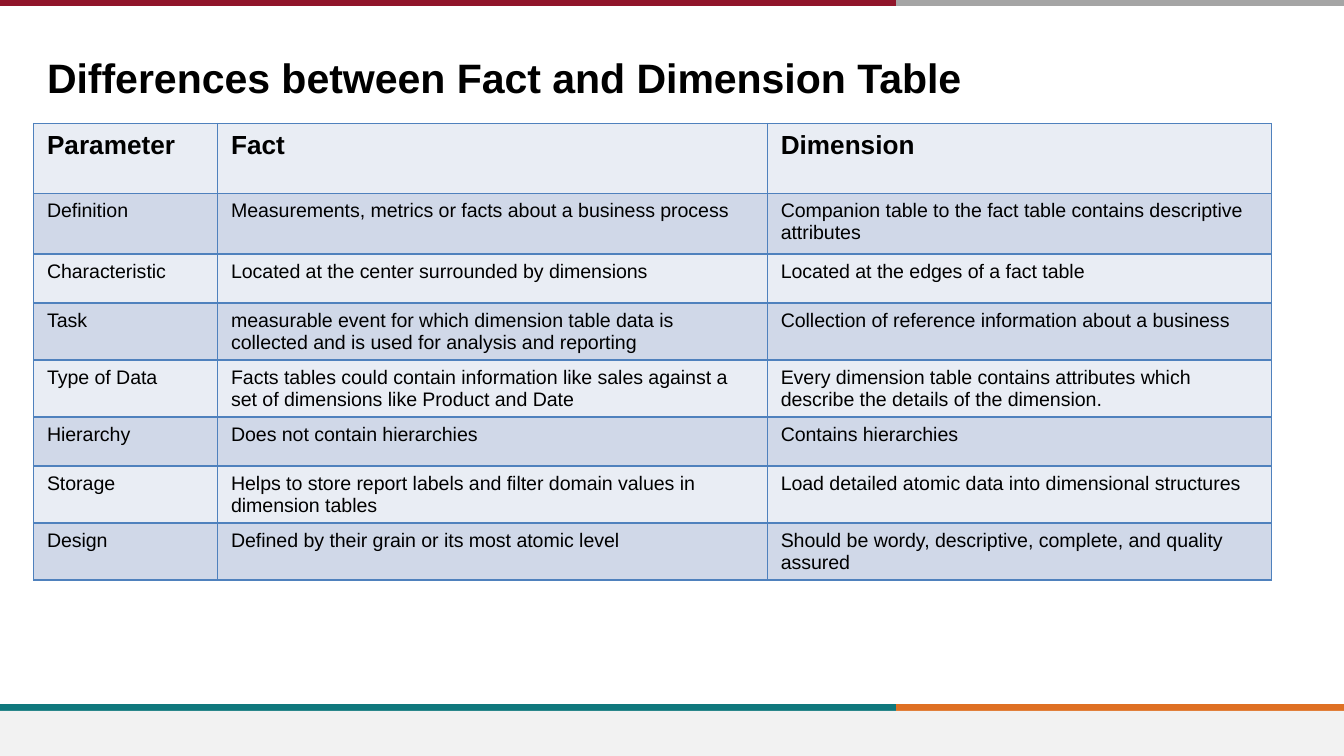
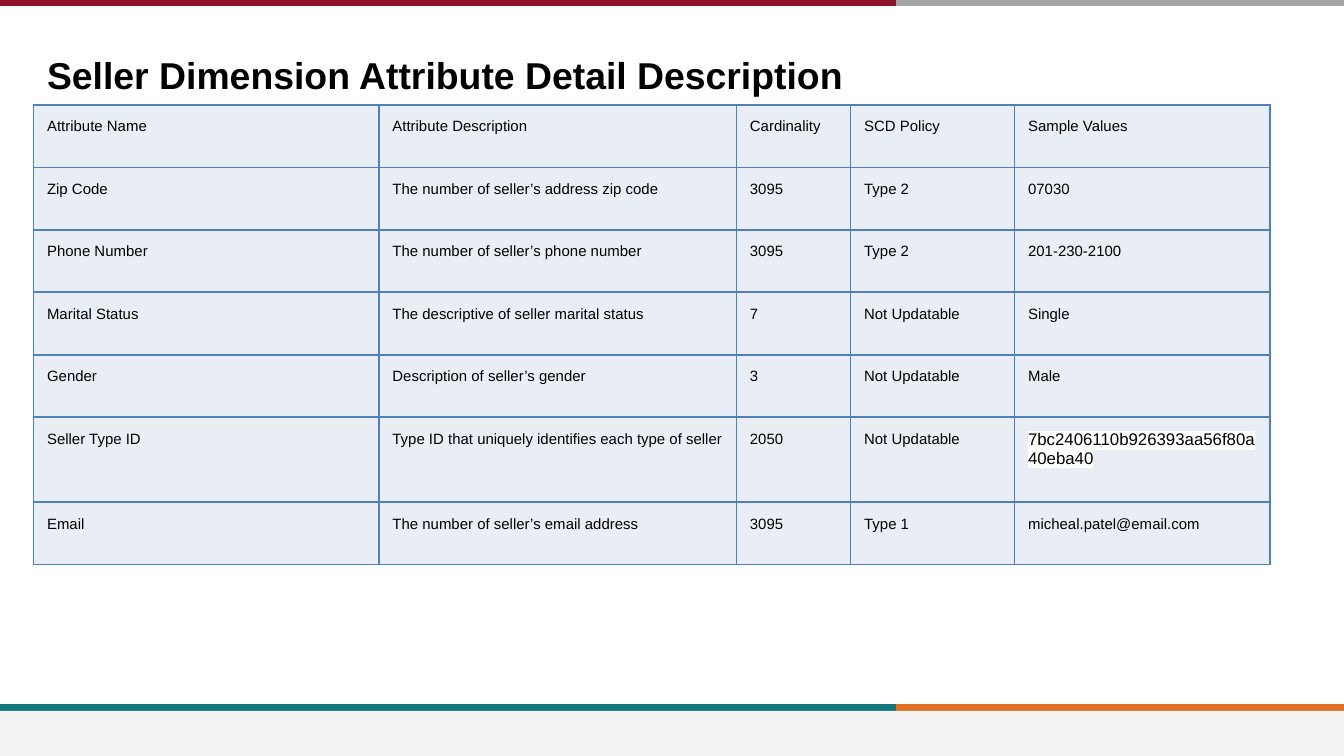
from dataclasses import dataclass

from lxml.etree import SubElement
from pptx import Presentation
from pptx.dml.color import RGBColor as Rgb
from pptx.enum.shapes import MSO_CONNECTOR as Conn, MSO_SHAPE as Shape
from pptx.enum.text import MSO_ANCHOR as Anchor, PP_ALIGN as Align
from pptx.oxml.ns import qn
from pptx.slide import Slide
from pptx.table import _Cell as Cell
from pptx.text.text import _Run as Run
from pptx.util import Inches, Pt

FONT = "Arial"
COLORS = {
    "text": "000000",
    "white": "FFFFFF",
    "red": "90152A",
    "gray": "A5A5A5",
    "teal": "0F787D",
    "orange": "DF7023",
    "footer": "F2F2F2",
    "border": "4F81BD",
    "light": "E9EDF4",
    "dark": "D0D8E8",
}
WIDTH = 10
HEIGHT = WIDTH * 9 / 16
SPLIT = 6.67
LEFT = 0.25


@dataclass(frozen=True)
class Band:
    start: float
    end: float
    y: float
    color: str


@dataclass(frozen=True)
class Grid:
    title: str
    title_size: float
    top: float
    cols: list[float]
    heights: list[float]
    rows: list[list[str]]
    size: float
    pad: float
    fills: tuple[str, ...]
    head_size: float
    head_bold: bool = False
    marked: str = ""
    mark_size: float = 9


BANDS = [
    Band(SPLIT, WIDTH, 5.27, "orange"),
    Band(0, SPLIT, 5.27, "teal"),
    Band(SPLIT, WIDTH, 0.02, "gray"),
    Band(0, SPLIT, 0.02, "red"),
]

SELLER_ID = "7bc2406110b926393aa56f80a40eba40"

GRIDS = [
    Grid(
        title="Differences between Fact and Dimension Table",
        title_size=22,
        top=0.92,
        cols=[1.37, 4.09, 3.75],
        heights=[0.52, 0.45] + [2.19 / 6] * 6,
        rows=[
            ["Parameter", "Fact", "Dimension"],
            ["Definition",
             "Measurements, metrics or facts about a business process",
             "Companion table to the fact table contains descriptive attributes"],
            ["Characteristic",
             "Located at the center surrounded by dimensions",
             "Located at the edges of a fact table"],
            ["Task",
             "measurable event for which dimension table data is collected "
             "and is used for analysis and reporting",
             "Collection of reference information about a business"],
            ["Type of Data",
             "Facts tables could contain information like sales against a set "
             "of dimensions like Product and Date",
             "Every dimension table contains attributes which describe the "
             "details of the dimension."],
            ["Hierarchy", "Does not contain hierarchies", "Contains hierarchies"],
            ["Storage",
             "Helps to store report labels and filter domain values in "
             "dimension tables",
             "Load detailed atomic data into dimensional structures"],
            ["Design",
             "Defined by their grain or its most atomic level",
             "Should be wordy, descriptive, complete, and quality assured"],
        ],
        size=10.5,
        pad=0.05,
        fills=("light", "dark"),
        head_size=14,
        head_bold=True,
    ),
    Grid(
        title="Seller Dimension Attribute Detail Description",
        title_size=20,
        top=0.78,
        cols=[2.57, 2.66, 0.85, 1.22, 1.9],
        heights=[2.79 / 6] * 5 + [0.63, 2.79 / 6],
        rows=[
            ["Attribute Name", "Attribute Description", "Cardinality",
             "SCD Policy", "Sample Values"],
            ["Zip Code", "The number of seller’s address zip code", "3095",
             "Type 2", "07030"],
            ["Phone Number", "The number of seller’s phone number", "3095",
             "Type 2", "201-230-2100"],
            ["Marital Status", "The descriptive of seller marital status", "7",
             "Not Updatable", "Single"],
            ["Gender", "Description of seller’s gender", "3",
             "Not Updatable", "Male"],
            ["Seller Type ID",
             "Type ID that uniquely identifies each type of seller", "2050",
             "Not Updatable", SELLER_ID],
            ["Email", "The number of seller’s email address", "3095",
             "Type 1", "micheal.patel@email.com"],
        ],
        size=8,
        pad=0.1,
        fills=("light",),
        head_size=8,
        marked=SELLER_ID,
    ),
]


def rgb(name: str) -> Rgb:
    return Rgb.from_string(COLORS[name])


def style(run: Run, size: float, bold: bool) -> None:
    font = run.font
    font.name, font.size, font.bold = FONT, Pt(size), bold
    font.color.rgb = rgb("text")


def mark(run: Run, color: str) -> None:
    """Highlight a run; the schema wants the highlight right after the fill."""
    props = run.font._element
    light = SubElement(props, qn("a:highlight"))
    SubElement(light, qn("a:srgbClr"), val=COLORS[color])
    props.find(qn("a:solidFill")).addnext(light)


def edge(cell: Cell) -> None:
    """Give a cell its four borders; call before the fill is set."""
    props = cell._tc.get_or_add_tcPr()
    for side in "LRTB":
        line = SubElement(props, qn(f"a:ln{side}"), w=str(Pt(1)))
        fill = SubElement(line, qn("a:solidFill"))
        SubElement(fill, qn("a:srgbClr"), val=COLORS["border"])


def draw_bands(slide: Slide) -> None:
    for band in BANDS:
        y = Inches(band.y)
        line = slide.shapes.add_connector(
            Conn.STRAIGHT, Inches(band.start), y, Inches(band.end), y)
        line.line.color.rgb = rgb(band.color)
        line.line.width = Pt(4)
        SubElement(line._element.spPr, qn("a:effectLst"))
    foot = slide.shapes.add_shape(
        Shape.RECTANGLE, 0, Inches(5.29), Inches(WIDTH), Inches(HEIGHT - 5.29))
    foot.shadow.inherit = False
    foot.fill.solid()
    foot.fill.fore_color.rgb = rgb("footer")
    foot.line.fill.background()


def draw_title(slide: Slide, text: str, size: float) -> None:
    title = slide.shapes.title
    title.left, title.top = Inches(LEFT), Inches(0.34)
    title.width, title.height = Inches(7.99), Inches(0.44)
    frame = title.text_frame
    frame.text = text
    frame.word_wrap = True
    frame.vertical_anchor = Anchor.TOP
    frame.margin_left = frame.margin_right = Inches(0.1)
    frame.margin_top = frame.margin_bottom = Inches(0.05)
    para = frame.paragraphs[0]
    para.alignment = Align.LEFT
    para.space_before = Pt(2.5)
    style(para.runs[0], size, True)


def draw_table(slide: Slide, grid: Grid) -> None:
    table = slide.shapes.add_table(
        len(grid.rows), len(grid.cols), Inches(LEFT), Inches(grid.top),
        Inches(sum(grid.cols)), Inches(sum(grid.heights))).table
    table.first_row = table.horz_banding = False
    for col, width in zip(table.columns, grid.cols):
        col.width = Inches(width)
    for row, height in zip(table.rows, grid.heights):
        row.height = Inches(height)
    for r, texts in enumerate(grid.rows):
        for c, text in enumerate(texts):
            cell = table.cell(r, c)
            edge(cell)
            cell.fill.solid()
            cell.fill.fore_color.rgb = rgb(grid.fills[r % len(grid.fills)])
            cell.margin_left = cell.margin_right = Inches(0.1)
            cell.margin_top = cell.margin_bottom = Inches(grid.pad)
            cell.text_frame.text = text
            run = cell.text_frame.paragraphs[0].runs[0]
            if text == grid.marked:
                style(run, grid.mark_size, False)
                mark(run, "white")
            elif r == 0:
                style(run, grid.head_size, grid.head_bold)
            else:
                style(run, grid.size, False)


def main() -> None:
    deck = Presentation()
    deck.slide_width, deck.slide_height = Inches(WIDTH), Inches(HEIGHT)
    for grid in GRIDS:
        slide = deck.slides.add_slide(deck.slide_layouts[5])
        draw_bands(slide)
        draw_title(slide, grid.title, grid.title_size)
        draw_table(slide, grid)
    deck.save("out.pptx")


if __name__ == "__main__":
    main()
